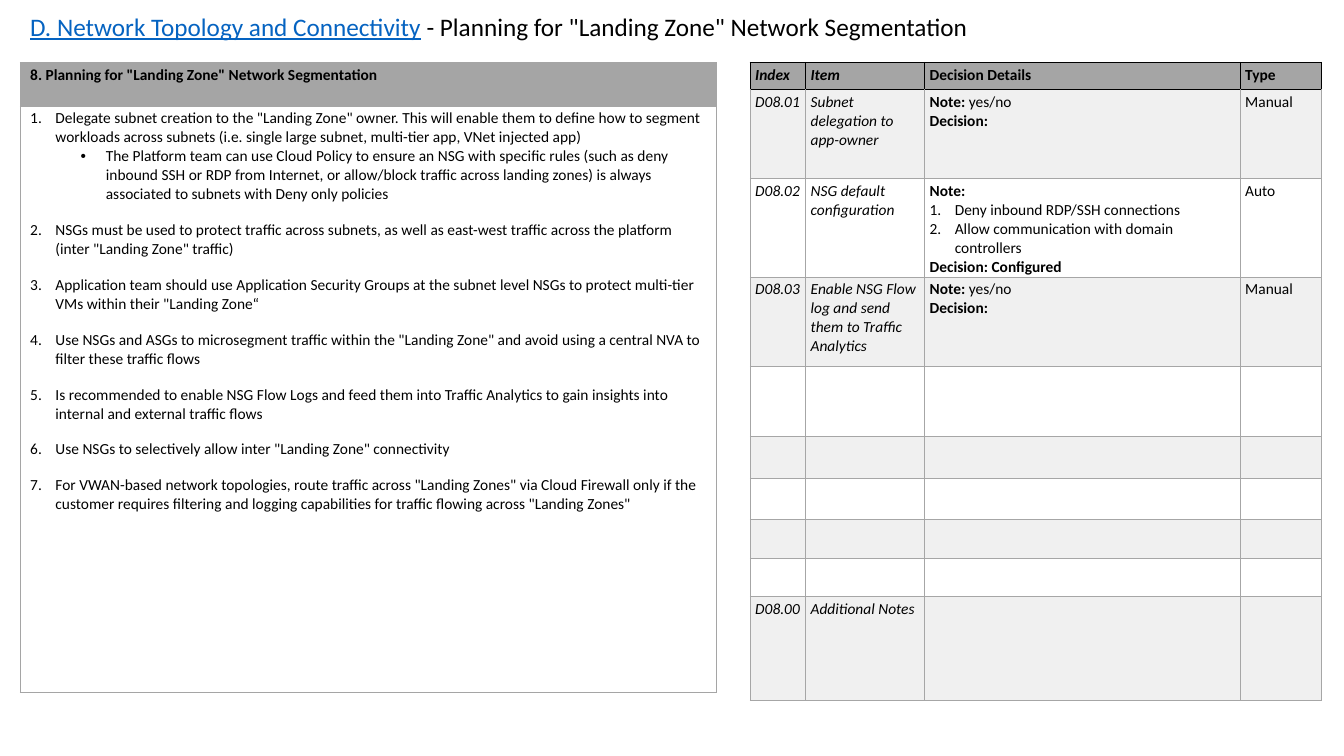
from dataclasses import dataclass

from lxml import etree
from pptx import Presentation
from pptx import util as u
from pptx.dml.color import RGBColor
from pptx.enum import text
from pptx.oxml.ns import qn

UNIT = u.Inches(0.1)  # width of a grid column and height of a grid row
FONT = "Calibri"
BLACK, WHITE, LINK = "000000", "FFFFFF", "0563C1"
HEADER, BAND, GRID = "A5A5A5", "F0F0F0", "A6A6A6"


@dataclass
class Run:
    text: str
    bold: bool = False
    italic: bool = False
    colour: str = BLACK
    underline: bool = False
    size: float = 11


@dataclass
class Line:
    """One paragraph; marker is "", "number" or "bullet"."""
    runs: list[Run]
    marker: str = ""
    before: float = 0
    after: float = 0


@dataclass
class Cell:
    lines: list[Line]
    fill: str = WHITE
    border: str = GRID
    border_width: float = 0.5


@dataclass
class Grid:
    left: float
    top: float
    columns: list[float]
    rows: list[float]
    side_inset: float
    cells: list[list[Cell]]


def grid(units: float) -> int:
    return round(units * UNIT)


def colour(value: str) -> RGBColor:
    return RGBColor.from_string(value)


def add_marker(paragraph, marker: str) -> None:
    properties = paragraph._p.get_or_add_pPr()
    level = 1 if marker == "bullet" else 0
    paragraph.level = level
    properties.set("marL", str(u.Inches(0.25 + 0.5 * level)))
    properties.set("indent", str(u.Inches(-0.25)))
    if marker == "bullet":
        etree.SubElement(properties, qn("a:buFont"), typeface="Arial")
        etree.SubElement(properties, qn("a:buChar"), char="•")
    else:
        etree.SubElement(properties, qn("a:buAutoNum"), type="arabicPeriod")


def write_lines(frame, lines: list[Line]) -> None:
    for index, line in enumerate(lines):
        paragraph = frame.add_paragraph() if index else frame.paragraphs[0]
        paragraph.space_before = u.Pt(line.before)
        paragraph.space_after = u.Pt(line.after)
        if line.marker:
            add_marker(paragraph, line.marker)
        for item in line.runs:
            run = paragraph.add_run()
            run.text = item.text
            run.font.name = FONT
            run.font.size = u.Pt(item.size)
            run.font.bold = item.bold
            run.font.italic = item.italic
            run.font.underline = item.underline
            run.font.color.rgb = colour(item.colour)


def add_borders(cell, value: str, width: float) -> None:
    properties = cell._tc.get_or_add_tcPr()
    for side in ("lnL", "lnR", "lnT", "lnB"):
        border = etree.SubElement(properties, qn(f"a:{side}"), w=str(u.Pt(width)))
        fill = etree.SubElement(border, qn("a:solidFill"))
        etree.SubElement(fill, qn("a:srgbClr"), val=value)


def add_grid(slide, layout: Grid) -> None:
    table = slide.shapes.add_table(
        len(layout.rows), len(layout.columns), grid(layout.left), grid(layout.top),
        grid(sum(layout.columns)), grid(sum(layout.rows))).table
    table.first_row = table.horz_banding = False
    for column, width in zip(table.columns, layout.columns):
        column.width = grid(width)
    for row, height, contents in zip(table.rows, layout.rows, layout.cells):
        row.height = grid(height)
        for cell, content in zip(row.cells, contents):
            cell.margin_left = cell.margin_right = grid(layout.side_inset)
            cell.margin_top = cell.margin_bottom = grid(0.3)
            add_borders(cell, content.border, content.border_width)
            cell.fill.solid()
            cell.fill.fore_color.rgb = colour(content.fill)
            write_lines(cell.text_frame, content.lines)


def add_title(slide, runs: list[Run]) -> None:
    box = slide.shapes.add_textbox(grid(2), grid(0.6), grid(112.9), grid(4))
    box.text_frame.word_wrap = True
    box.text_frame.vertical_anchor = text.MSO_ANCHOR.MIDDLE
    write_lines(box.text_frame, [Line(runs)])


def plain(words: str, bold: bool = False, italic: bool = False) -> list[Line]:
    return [Line([Run(words, bold, italic)])] if words else []


YES_NO = [Line([Run("Note: ", bold=True), Run("yes/no")]), *plain("Decision:", bold=True)]
DEFAULTS = [
    *plain("Note:", bold=True),
    Line([Run("Deny inbound RDP/SSH connections")], "number"),
    Line([Run("Allow communication with domain controllers")], "number"),
    *plain("Decision: Configured", bold=True),
]
DECISIONS = [
    ("D08.01", "Subnet delegation to app-owner", YES_NO, "Manual"),
    ("D08.02", "NSG default configuration", DEFAULTS, "Auto"),
    ("D08.03", "Enable NSG Flow log and send them to Traffic Analytics", YES_NO, "Manual"),
    *[("", "", [], "")] * 5,
    ("D08.00", "Additional Notes", [], ""),
]
FIRST_GUIDELINE = (
    'Delegate subnet creation to the "Landing Zone" owner. This will enable them to define how to '
    'segment workloads across subnets (i.e. single large subnet, multi-tier app, VNet injected app)')
POLICY_GUIDELINE = (
    "The Platform team can use Cloud Policy to ensure an NSG with specific rules (such as deny "
    "inbound SSH or RDP from Internet, or allow/block traffic across landing zones) is always "
    "associated to subnets with Deny only policies")
GUIDELINES = [
    'NSGs must be used to protect traffic across subnets, as well as east-west traffic across the '
    'platform (inter "Landing Zone" traffic)',
    'Application team should use Application Security Groups at the subnet level NSGs to protect '
    'multi-tier VMs within their "Landing Zone“',
    'Use NSGs and ASGs to microsegment traffic within the "Landing Zone" and avoid using a central '
    'NVA to filter these traffic flows',
    'Is recommended to enable NSG Flow Logs and feed them into Traffic Analytics to gain insights '
    'into internal and external traffic flows',
    'Use NSGs to selectively allow inter "Landing Zone" connectivity',
    'For VWAN-based network topologies, route traffic across "Landing Zones" via Cloud Firewall '
    'only if the customer requires filtering and logging capabilities for traffic flowing across '
    '"Landing Zones"',
]


def guideline_grid() -> Grid:
    heading = plain('8. Planning for "Landing Zone" Network Segmentation', bold=True)
    lines = [Line([Run(FIRST_GUIDELINE)], "number"),
             Line([Run(POLICY_GUIDELINE)], "bullet", after=6)]
    lines += [Line([Run(words)], "number", 6, 6) for words in GUIDELINES]
    return Grid(2, 6.2, [69], [4.3, 58.2], 1,
                [[Cell(heading, HEADER, HEADER)], [Cell(lines, border=HEADER)]])


def decision_grid() -> Grid:
    headings = [("Index", True), ("Item", True), ("Decision Details", False), ("Type", False)]
    cells = [[Cell(plain(words, True, italic), HEADER, BLACK, 1) for words, italic in headings]]
    for number, (index, item, details, kind) in enumerate(DECISIONS):
        contents = [plain(index, italic=True), plain(item, italic=True), details, plain(kind)]
        fill = WHITE if number % 2 else BAND
        cells.append([Cell(lines, fill) for lines in contents])
    # The heading's black rule is also the upper edge of the first decision.
    return Grid(74.4, 6.2, [5.5, 11.8, 31.3, 8.1],
                [2.7, 8.8, 8.8, 8.9, 6.9, 4.2, 4.1, 3.8, 3.8, 10.3], 0.5, cells)


def main() -> None:
    presentation = Presentation()
    presentation.slide_width = u.Inches(13.33)
    presentation.slide_height = u.Inches(7.5)
    slide = presentation.slides.add_slide(presentation.slide_layouts[6])
    add_title(slide, [
        Run("D. Network Topology and Connectivity", colour=LINK, underline=True, size=18),
        Run(' - Planning for "Landing Zone" Network Segmentation', size=18)])
    add_grid(slide, guideline_grid())
    add_grid(slide, decision_grid())
    presentation.save("out.pptx")


if __name__ == "__main__":
    main()
